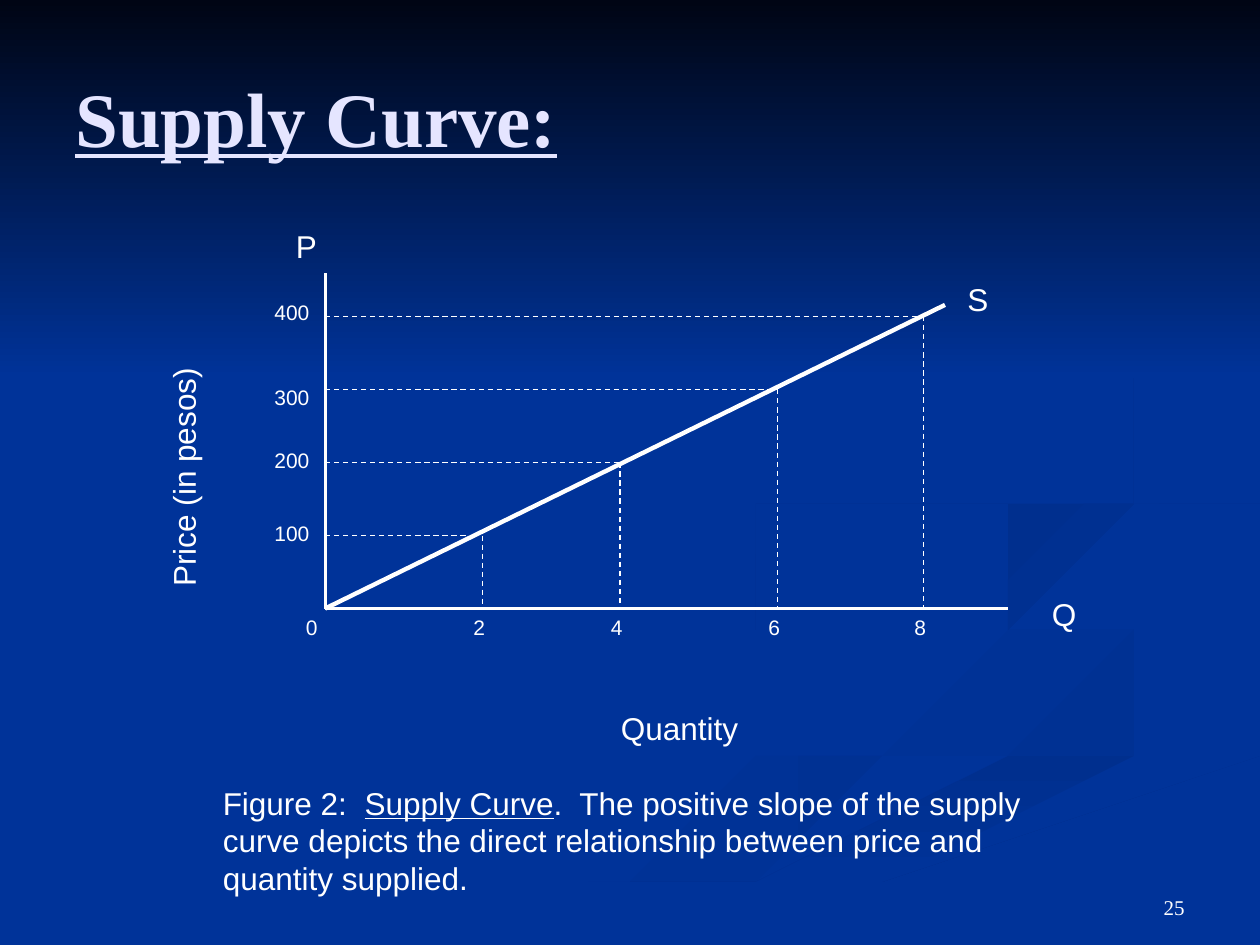
"""Build the supply curve slide with its swirl backdrop, graph and caption."""
from lxml.etree import SubElement as add_node
from pptx import Presentation
from pptx.dml.color import RGBColor as Color
from pptx.enum.dml import MSO_LINE as Dash
from pptx.enum.shapes import MSO_CONNECTOR as Link
from pptx.enum.text import MSO_ANCHOR as Anchor, PP_ALIGN as Align
from pptx.oxml.ns import qn
from pptx.util import Inches, Pt

theme = {
    "ground": "003399", "night": "000514", "shade": "002F8E", "haze": "003193",
    "ink": "FFFFFF", "title": "E5E5FF", "sans": "Arial", "serif": "Times New Roman",
    "head": 44, "body": 18, "tick": 12,
    "axis": 1.75, "curve": 2.5, "guide": 0.75,
}
deck = Presentation()
deck.slide_width, deck.slide_height = Inches(10), Inches(7.5)
slide = deck.slides.add_slide(deck.slide_layouts[6])
slide.background.fill.solid()
slide.background.fill.fore_color.rgb = Color.from_string(theme["ground"])


def write(text, left, top, width, height=0.4, size="body", font="sans", color="ink", bold=False,
          under=None, align=Align.LEFT, anchor=Anchor.TOP, turn=0):
    box = slide.shapes.add_textbox(Inches(left), Inches(top), Inches(width), Inches(height))
    box.rotation = turn
    frame = box.text_frame
    frame.word_wrap = True
    frame.vertical_anchor = anchor
    para = frame.paragraphs[0]
    para.alignment = align
    for part in [text] if isinstance(text, str) else text:
        run = para.add_run()
        run.text = part
        run.font.name = theme[font]
        run.font.size = Pt(theme[size])
        run.font.bold = bold
        run.font.underline = part == under
        run.font.color.rgb = Color.from_string(theme[color])


def draw(start, end, weight, dash=None):
    ends = [Inches(value) for value in (*start, *end)]
    line = slide.shapes.add_connector(Link.STRAIGHT, *ends)
    line.line.color.rgb = Color.from_string(theme["ink"])
    line.line.width = Pt(theme[weight])
    if dash:
        line.line.dash_style = dash
    add_node(line._element.spPr, qn("a:effectLst"))


swirls = [
    ("ground", "haze", 0, 4, [
        (7.15, 5.28), (6.14, 4.96), (5.75, 4.6), (5.93, 4.91), (6.97, 5.25), (7.7, 5.51),
        (7.8, 5.79), (6.99, 6.09), (4.99, 6.61), (3, 7.49), (3.61, 7.49), (5.32, 6.74),
        (7.56, 6.14), (8, 5.81), (7.81, 5.53)]),
    ("ground", "haze", 45, 4, [
        (9.43, 5.7), (9.05, 5.4), (7.92, 5.09), (7.24, 4.64), (7.55, 5.05), (8.68, 5.44),
        (9.18, 5.81), (8.94, 6.05), (9.32, 5.89)]),
    ("shade", "ground", 90, 1, [
        (5.03, 7.49), (5.71, 7.49), (6.95, 6.92), (9.98, 6.09), (9.98, 5.81), (7.64, 6.47),
        (6.3, 6.93)]),
    ("ground", "ground", 0, 1, [
        (7.25, 4.64), (7.93, 5.09), (9.05, 5.4), (9.43, 5.7), (9.11, 6), (6.63, 6.68),
        (4.77, 7.49), (5.19, 7.47), (6.96, 6.69), (9.99, 5.81), (9.99, 5.38), (8.32, 4.98),
        (7.81, 4.6), (8.5, 4.27), (9.99, 4.02), (9.99, 3.87), (7.7, 4.27)]),
    ("shade", "ground", 45, 4, [
        (7.81, 4.6), (8.26, 4.96), (8.06, 4.7), (8.78, 4.39), (9.98, 4.2), (9.98, 4.02),
        (8.65, 4.24)]),
    ("shade", "ground", 45, 4, [
        (6.83, 4.3), (8.25, 4.02), (8.94, 3.44), (8.43, 2.75), (7.62, 2.33), (8.46, 2.79),
        (8.89, 3.35), (8.42, 3.78), (6.76, 4.14), (5.77, 4.62), (6.22, 5), (5.93, 4.7)]),
    ("night", "ground", 90, 1, [(0, 0), (0, 3.08), (10, 3.08), (10, 0)]),
]
for first, last, angle, cuts, points in swirls:
    curve = []
    for spot, here in enumerate(points):
        prior, after, later = [points[(spot + move) % len(points)] for move in (-1, 1, 2)]
        for cut in range(cuts):
            t = cut / cuts
            curve.append([b + t * (c - a + t * (2 * a - 5 * b + 4 * c - d
                                                + t * (3 * b - a - 3 * c + d))) / 2
                          for a, b, c, d in zip(prior, here, after, later)])
    path = slide.shapes.build_freeform(*curve[0], scale=Inches(1))
    path.add_line_segments(curve[1:], close=True)
    swirl = path.convert_to_shape()
    swirl.shadow.inherit = False
    swirl.line.fill.background()
    swirl.fill.gradient()
    swirl.fill.gradient_angle = (360 - angle) % 360
    for stop, color, place in zip(swirl.fill.gradient_stops, (first, last), (0, 1)):
        stop.color.rgb = Color.from_string(theme[color])
        stop.position = place

write("Supply Curve:", 0.5, 0.3, 9, 1.25, size="head", font="serif", color="title",
      bold=True, under="Supply Curve:", anchor=Anchor.MIDDLE)

left, base, step = 2.58, 4.83, 0.58
draw((left, 2.17), (left, base), "axis")
draw((left, base), (8, base), "axis")
guides = [(3.75, 3.83, 4.08), (4.92, 4.92, 3.5), (6.17, 6.17, 3), (7.33, 7.33, 2.33)]
for count, (reach, drop, top) in enumerate(guides, 1):
    level = base - count * step
    draw((left, level), (reach, level), "guide", Dash.DASH)
    draw((drop, level), (drop, base), "guide", Dash.DASH)
    write(str(count * 100), 2.08, top, 0.5, 0.3, size="tick")
    write(str(count * 2), drop - 0.17, base, 0.33, 0.3, size="tick")
write("0", 2.33, base, 0.33, 0.3, size="tick")
draw((left, base), (7.5, 2.42), "curve")

for name, x, y in [("P", 2.25, 1.75), ("Q", 8.25, 4.67), ("S", 7.58, 2.17)]:
    write(name, x, y, 0.42)
write("Quantity", 4.83, 5.58, 1.33)
write("Price (in pesos)", -0.13, 2.97, 3.17, turn=270)
write(["Figure 2:  ", "Supply Curve", ".  The positive slope of the supply curve depicts the "
       "direct relationship between price and quantity supplied."],
      1.67, 6.17, 6.83, 1, under="Supply Curve")
write("25", 7.17, 6.83, 2.33, 0.52, size="tick", font="serif", align=Align.RIGHT,
      anchor=Anchor.BOTTOM)
deck.save("out.pptx")
